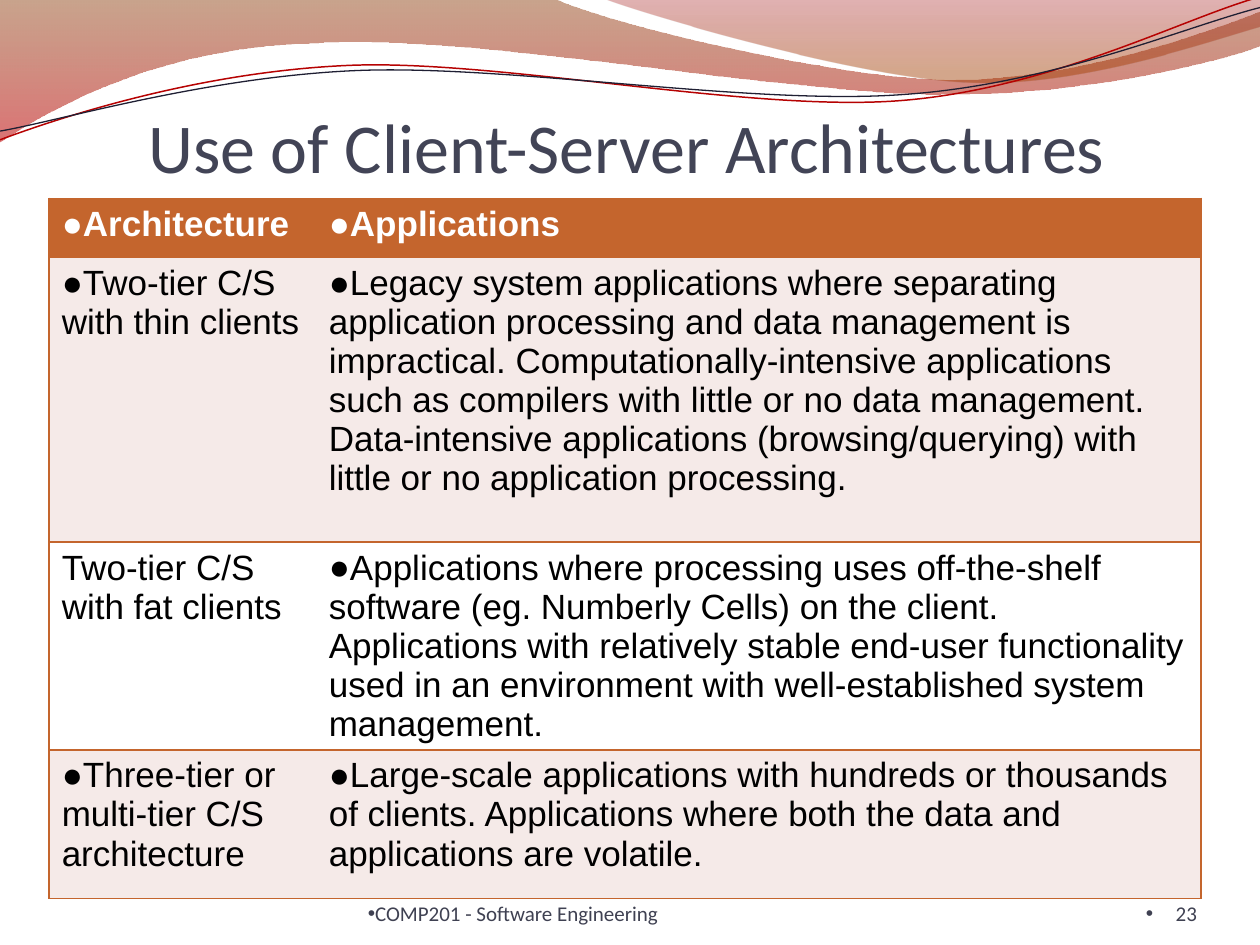
from lxml.etree import SubElement as Sub
from pptx import Presentation
from pptx.dml.color import RGBColor as RGB
from pptx.enum.text import MSO_ANCHOR as Anchor, PP_ALIGN as Align
from pptx.oxml.ns import qn
from pptx.util import Pt

THEME = dict(
    head="Calibri", body="Arial", big=40, mid=20, small=12,
    ink="424456", foot="3F4152", text="000000", white="FFFFFF",
    rust="C4652D", tint="F5EAE8", red="B60202", navy="1F1F33",
    plain="{2D5ABB26-0587-4C30-8999-92F81FD0307C}",
)

# Content
TITLE = "Use of Client-Server Architectures"
FOOT = "COMP201 - Software Engineering"
PAGE = "23"
# Each row: height, fill, then (text, bulleted) per cell
ROWS = [
    (33.7, "rust", ("Architecture", True), ("Applications", True)),
    (162.7, "tint", ("Two-tier C/S with thin clients", True),
     ("Legacy system applications where separating application processing "
      "and data management is impractical. Computationally-intensive "
      "applications such as compilers with little or no data management. "
      "Data-intensive applications (browsing/querying) with little or no "
      "application processing.", True)),
    (111, "white", ("Two-tier C/S with fat clients", False),
     ("Applications where processing uses off-the-shelf software (eg. "
      "Numberly Cells) on the client. Applications with relatively stable "
      "end-user functionality used in an environment with well-established "
      "system management.", True)),
    (85, "tint", ("Three-tier or multi-tier C/S architecture", True),
     ("Large-scale applications with hundreds or thousands of clients. "
      "Applications where both the data and applications are volatile.", True)),
]
COLS = (152.6, 505.7)

# Waves: a step of 2 numbers is a line, of 6 a Bezier curve
BANDS = [
    ([(0, 0), (316.8, -0.7), (342.7, 12.2, 478.1, 45.4, 545.8, 45.4),
      (614.2, 45.4, 689.8, 18.7, 720, 6.5), (720.7, 25.9),
      (707.8, 31.7, 626.4, 54.7, 537.1, 54),
      (447.8, 54, 275, 20.2, 185, 24.5),
      (92.9, 25.9, 33.1, 59.8, -0.7, 81.4)],
     [(0, "883400", 45), (100, "BD0000", 55)]),
    ([(344.9, -0.7), (366.5, 7.9, 491, 44.6, 553.7, 46.8),
      (616.3, 49.7, 691.9, 23, 720, 15.1), (720, 0)],
     [(0, "9A0000", 30), (80, "A23E00", 45)]),
]
LINES = [
    ([(0, 79.9), (34.6, 67, 113.8, 41, 199.4, 37.4),
      (284.4, 33.8, 427, 64.1, 513.4, 57.6),
      (599.8, 51.1, 675.4, 10.8, 718.6, -1.4)], "red", 0.85),
    ([(0, 74.9), (33.8, 69.1, 118.1, 43.9, 203.8, 40.3),
      (290.2, 36.7, 429.8, 60.5, 516.2, 54),
      (601.9, 48.2, 677.5, 15.1, 720, 4.3)], "navy", 0.75),
]


def hue(name):
    return RGB.from_string(THEME[name])


def put(frame, text, face="body", size="mid", color="text", bold=False,
        align=Align.LEFT, mark=None, hang=0):
    """Write one formatted paragraph, with a bullet if mark is given."""
    frame.word_wrap = True
    para = frame.paragraphs[0]
    para.text, para.alignment = text, align
    if mark:
        props = para._p.get_or_add_pPr()
        props.set("marL", str(Pt(hang)))
        props.set("indent", str(-Pt(hang)))
        Sub(props, qn("a:buFont"), typeface=THEME["body"])
        Sub(props, qn("a:buChar"), char=mark)
    font = para.runs[0].font
    font.name, font.size, font.bold = THEME[face], Pt(THEME[size]), bold
    font.color.rgb = hue(color)


def wave(slide, steps, close):
    """Build the outline, then join each curve's three points."""
    dots = [(Pt(x), Pt(y)) for step in steps
            for x, y in zip(step[::2], step[1::2])]
    form = slide.shapes.build_freeform(*dots[0], scale=1.0)
    form.add_line_segments(dots[1:], close=close)
    shape = form.convert_to_shape()
    shape.shadow.inherit = False
    legs = iter(list(shape._element.iter(qn("a:lnTo"))))
    for step in steps[1:]:
        leg = next(legs)
        if len(step) == 6:
            leg.tag = qn("a:cubicBezTo")
            for _ in range(2):
                more = next(legs)
                leg.append(more[0])
                more.getparent().remove(more)
    return shape


def shade(shape, stops):
    """Fill from top to bottom with see-through colours."""
    shape.line.fill.background()
    shape.fill.gradient()
    grad = shape._element.spPr.find(qn("a:gradFill"))
    for kid in list(grad):
        grad.remove(kid)
    group = Sub(grad, qn("a:gsLst"))
    for place, code, alpha in stops:
        stop = Sub(group, qn("a:gs"), pos=str(place * 1000))
        tone = Sub(stop, qn("a:srgbClr"), val=code)
        Sub(tone, qn("a:alpha"), val=str(alpha * 1000))
    Sub(grad, qn("a:lin"), ang="5400000", scaled="0")


def edge(cell, sides):
    """Draw cell borders; call before the fill is set."""
    props = cell._tc.get_or_add_tcPr()
    for side in sides:
        line = Sub(props, qn("a:ln" + side), w=str(Pt(1)))
        fill = Sub(line, qn("a:solidFill"))
        Sub(fill, qn("a:srgbClr"), val=THEME["rust"])


def note(slide, box, text, **fmt):
    frame = slide.shapes.add_textbox(*map(Pt, box)).text_frame
    frame.margin_left = frame.margin_right = 0
    frame.margin_top = frame.margin_bottom = 0
    frame.vertical_anchor = Anchor.BOTTOM
    put(frame, text, face="head", size="small", color="foot", mark="•", **fmt)


def main():
    deck = Presentation()
    deck.slide_width, deck.slide_height = Pt(720), Pt(540)
    slide = deck.slides.add_slide(deck.slide_layouts[5])

    # Waves
    for steps, stops in BANDS:
        shade(wave(slide, steps, True), stops)
    for steps, color, width in LINES:
        shape = wave(slide, steps, False)
        shape.fill.background()
        shape.line.color.rgb, shape.line.width = hue(color), Pt(width)

    # Title
    title = slide.shapes.title
    title.left, title.top, title.width, title.height = map(Pt, (34, 34, 648, 73.2))
    frame = title.text_frame
    frame.margin_left = frame.margin_right = frame.margin_bottom = 0
    frame.vertical_anchor = Anchor.BOTTOM
    put(frame, TITLE, face="head", size="big", color="ink", align=Align.CENTER)

    # Table, in the style without grid lines
    high = sum(row[0] for row in ROWS)
    table = slide.shapes.add_table(
        len(ROWS), len(COLS), Pt(28.1), Pt(113.4), Pt(sum(COLS)), Pt(high)).table
    table._tbl.tblPr.find(qn("a:tableStyleId")).text = THEME["plain"]
    for col, width in zip(table.columns, COLS):
        col.width = Pt(width)
    for r, (height, fill, *cells) in enumerate(ROWS):
        table.rows[r].height = Pt(height)
        for c, (text, dotted) in enumerate(cells):
            cell = table.cell(r, c)
            edge(cell, "RTB" if c else "LTB")
            cell.fill.solid()
            cell.fill.fore_color.rgb = hue(fill)
            put(cell.text_frame, text, color="text" if r else "white",
                bold=r == 0, mark="●" if dotted else None)

    # Footer
    note(slide, (210.2, 500.4, 264.2, 28.8), FOOT)
    note(slide, (624.2, 500.4, 59.8, 28.8), PAGE, align=Align.RIGHT, hang=17)

    deck.save("out.pptx")


if __name__ == "__main__":
    main()
